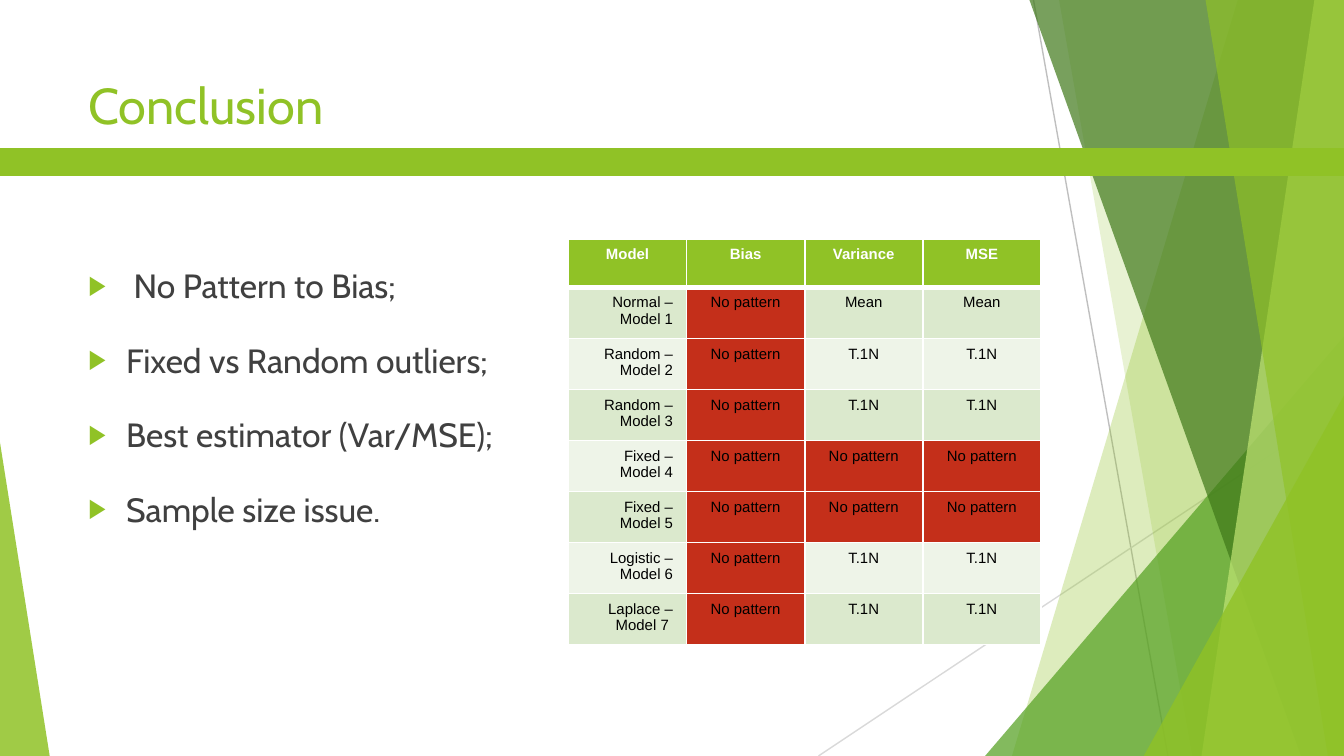
from lxml.etree import SubElement
from pptx import Presentation
from pptx.dml.color import RGBColor
from pptx.enum.shapes import MSO_CONNECTOR as Connector, MSO_SHAPE as Preset
from pptx.enum.text import MSO_ANCHOR as Anchor, PP_ALIGN as Align
from pptx.oxml import parse_xml
from pptx.oxml.ns import nsdecls, qn
from pptx.util import Inches, Pt

COLORS = {
    "lime": "90C226", "green": "54A021", "forest": "3F7819", "pale": "C0E474",
    "gray": "BFBFBF", "silver": "D9D9D9", "text": "404040", "white": "FFFFFF",
    "black": "000000", "red": "C42F1A", "band_dark": "DBE9CD", "band_light": "EEF4E8",
}
TITLE = "Conclusion"
BULLETS = [
    " No Pattern to Bias;",
    "Fixed vs Random outliers;",
    "Best estimator (Var/MSE);",
    "Sample size issue.",
]
UNRESOLVED = "No pattern"
TABLE = [
    ("Model", "Bias", "Variance", "MSE"),
    ("Normal – Model 1", UNRESOLVED, "Mean", "Mean"),
    ("Random – Model 2", UNRESOLVED, "T.1N", "T.1N"),
    ("Random – Model 3", UNRESOLVED, "T.1N", "T.1N"),
    ("Fixed – Model 4", UNRESOLVED, UNRESOLVED, UNRESOLVED),
    ("Fixed – Model 5", UNRESOLVED, UNRESOLVED, UNRESOLVED),
    ("Logistic – Model 6", UNRESOLVED, "T.1N", "T.1N"),
    ("Laplace – Model 7 ", UNRESOLVED, "T.1N", "T.1N"),
]

THIN_LINES = [
    ((76.9, 0), (86.9, 100), "gray", 0.75),
    ((100, 53.7), (60.9, 100), "silver", 0.75),
]
TITLE_RULE = ((0, 21.5), (100, 21.5), "lime", 15)
FACETS = [
    ("band", (92.1, 75.3), "lime", 30),
    ("band", (78.8, 88.7), "lime", 20),
    ("triangle", (73.3, 44.5, 26.7, 55.5, 1), "green", 72),
    ("band", (76.6, 96.8), "forest", 70),
    ("band", (97.8, 89.4), "pale", 70),
    ("band", (89.7, 98.8), "lime", 65),
    ("triangle", (85.1, 52.3, 14.9, 47.7, 1), "lime", 80),
    ("triangle", (0, 58.5, 3.7, 41.5, 0), "lime", 85),
]
TITLE_BOX = (5.6, 8.9, 70.5, 19.2)
BODY_BOX = (5.6, 31.5, 34.3, 56.6)
TABLE_BOX = (42.3, 31.65, 35.15, 53.65)
HEADER_SHARE = 6.4

presentation = Presentation()
presentation.slide_width = Inches(10)
presentation.slide_height = presentation.slide_width * 9 // 16
slide = presentation.slides.add_slide(presentation.slide_layouts[6])
shapes = slide.shapes


def x(share):
    return round(presentation.slide_width * share / 100)


def y(share):
    return round(presentation.slide_height * share / 100)


def place(left, top, width, height):
    return x(left), y(top), x(width), y(height)


def rgb(name):
    return RGBColor.from_string(COLORS[name])


def add_line(start, end, color, weight):
    line = shapes.add_connector(
        Connector.STRAIGHT, x(start[0]), y(start[1]), x(end[0]), y(end[1]))
    line.line.color.rgb = rgb(color)
    line.line.width = Pt(weight)
    SubElement(line._element.spPr, qn("a:effectLst"))


def add_facet(kind, geometry, color, opacity):
    if kind == "band":
        top_left, bottom_left = geometry
        builder = shapes.build_freeform(x(top_left), 0)
        corners = [(100, 0), (100, 100), (bottom_left, 100)]
        builder.add_line_segments([(x(h), y(v)) for h, v in corners])
        shape = builder.convert_to_shape()
    else:
        *box, apex = geometry
        shape = shapes.add_shape(Preset.ISOSCELES_TRIANGLE, *place(*box))
        shape.adjustments[0] = apex
    shape.shadow.inherit = False
    shape.line.fill.background()
    shape.fill.solid()
    shape.fill.fore_color.rgb = rgb(color)
    tint = shape.fill._xPr.find(qn("a:solidFill"))[0]
    SubElement(tint, qn("a:alpha"), val=str(opacity * 1000))


def add_run(paragraph, text, font, size, color, bold=False):
    run = paragraph.add_run()
    run.text = text
    run.font.name, run.font.size, run.font.bold = font, Pt(size), bold
    run.font.color.rgb = rgb(color)


def add_text_frame(box):
    frame = shapes.add_textbox(*place(*box)).text_frame
    frame.word_wrap = True
    frame.vertical_anchor = Anchor.TOP
    return frame


def add_bullet(paragraph):
    properties = paragraph._p.get_or_add_pPr()
    properties.set("marL", str(Inches(0.28)))
    properties.set("indent", str(-Inches(0.28)))
    bullet_color = SubElement(properties, qn("a:buClr"))
    SubElement(bullet_color, qn("a:srgbClr"), val=COLORS["lime"])
    SubElement(properties, qn("a:buSzPct"), val="80000")
    SubElement(properties, qn("a:buFont"), typeface="Arial")
    SubElement(properties, qn("a:buChar"), char="▶")


def set_borders(cell, weights):
    properties = cell._tc.get_or_add_tcPr()
    for index, (side, weight) in enumerate(weights.items()):
        properties.insert(index, parse_xml(
            f'<a:ln{side} {nsdecls("a")} w="{Pt(weight)}"><a:solidFill>'
            f'<a:srgbClr val="{COLORS["white"]}"/></a:solidFill></a:ln{side}>'))


def cell_color(row, text):
    if row == 0:
        return "lime"
    if text == UNRESOLVED:
        return "red"
    return "band_dark" if row % 2 else "band_light"


def add_model_table():
    table = shapes.add_table(len(TABLE), len(TABLE[0]), *place(*TABLE_BOX)).table
    for column in table.columns:
        column.width = x(TABLE_BOX[2] / len(TABLE[0]))
    body_share = (TABLE_BOX[3] - HEADER_SHARE) / (len(TABLE) - 1)
    for row, texts in enumerate(TABLE):
        header = row == 0
        table.rows[row].height = y(HEADER_SHARE if header else body_share)
        for column, text in enumerate(texts):
            cell = table.cell(row, column)
            cell.fill.solid()
            cell.fill.fore_color.rgb = rgb(cell_color(row, text))
            set_borders(cell, {"L": 1, "R": 1, "T": 3 if row == 1 else 1, "B": 3 if header else 1})
            paragraph = cell.text_frame.paragraphs[0]
            paragraph.alignment = Align.RIGHT if column == 0 and not header else Align.CENTER
            add_run(paragraph, text, "Arial", 8, "white" if header else "black", header)


for thin_line in THIN_LINES:
    add_line(*thin_line)
for facet in FACETS:
    add_facet(*facet)
add_line(*TITLE_RULE)

add_run(add_text_frame(TITLE_BOX).paragraphs[0], TITLE, "Cabin", 27, "lime")

body = add_text_frame(BODY_BOX)
for number, bullet in enumerate(BULLETS):
    paragraph = body.add_paragraph() if number else body.paragraphs[0]
    paragraph.line_spacing = 1.5
    paragraph.space_before = Pt(7.5)
    add_bullet(paragraph)
    add_run(paragraph, bullet, "Cabin", 18, "text")

add_model_table()
presentation.save("out.pptx")
